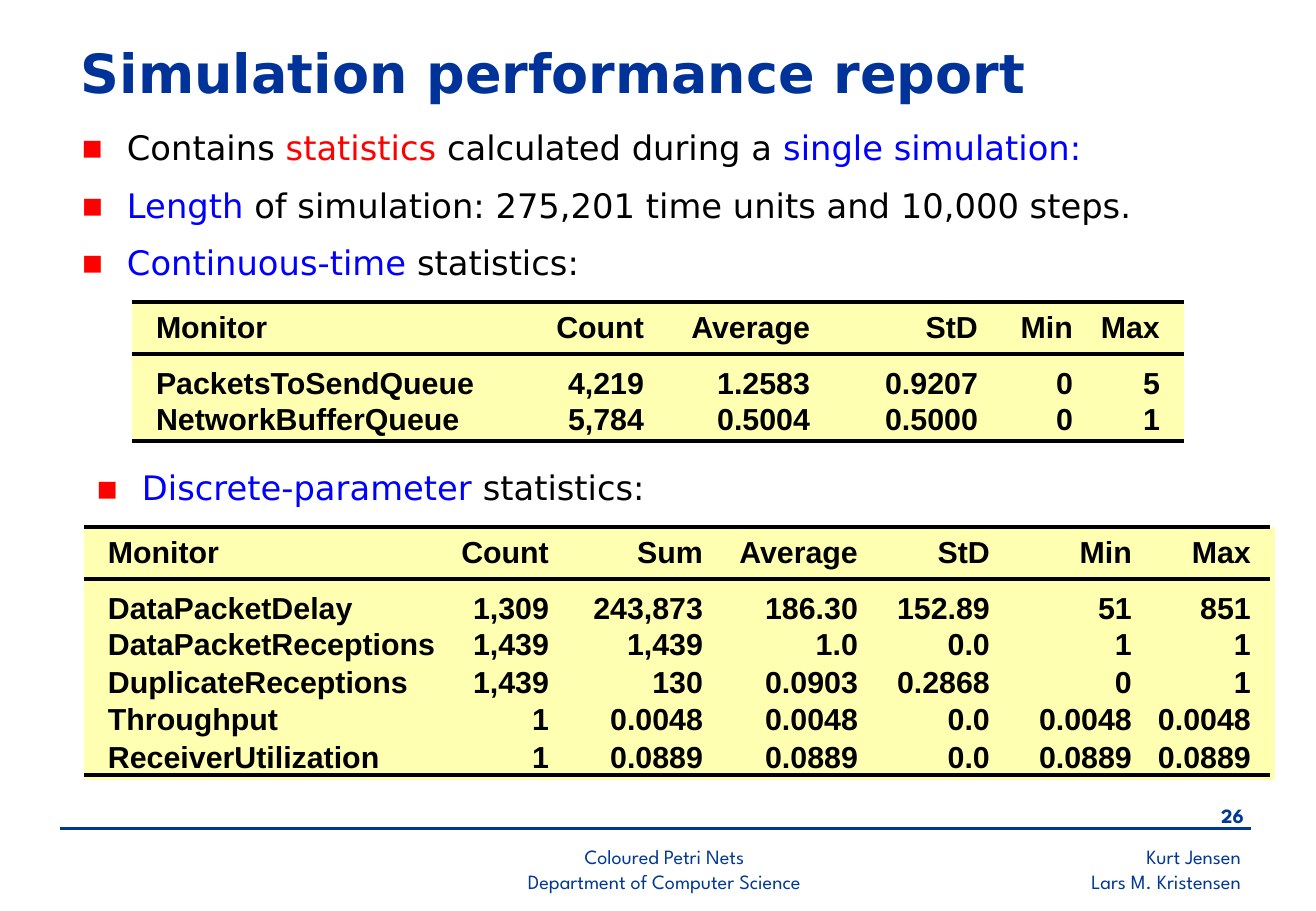
from lxml.etree import SubElement as Sub
from pptx import Presentation as Deck
from pptx.dml.color import RGBColor as RGB
from pptx.enum.shapes import MSO_CONNECTOR as Link
from pptx.enum.text import MSO_ANCHOR as Anchor, PP_ALIGN as Align
from pptx.oxml.ns import qn
from pptx.util import Emu, Inches, Pt

SCALE = 7532
NAVY, TITLE = RGB(0, 0x38, 0x93), RGB(0, 0x33, 0x99)
BLACK, RED, BLUE = RGB(0, 0, 0), RGB(255, 0, 0), RGB(0, 0, 255)
CREAM = RGB(255, 255, 0xB2)
PLAIN = "{2D5ABB26-0587-4C30-8999-92F81FD0307C}"

HEAD = dict(name="DejaVu Sans", size=Pt(32), bold=True)
BODY = dict(name="DejaVu Sans", size=Pt(20))
CELL = dict(name="Arial", size=Pt(18), bold=True)
FOOT = dict(name="League Spartan", size=Pt(12))

POINTS = [
    ((69, 120, 1032, 57), [("Contains ", BLACK), ("statistics", RED),
                           (" calculated during a ", BLACK),
                           ("single simulation:", BLUE)]),
    ((69, 178, 1138, 63), [("Length ", BLUE),
                           ("of simulation: 275,201 time units "
                            "and 10,000 steps.", BLACK)]),
    ((69, 235, 578, 63), [("Continuous-time", BLUE),
                          (" statistics:", BLACK)]),
    ((84, 460, 578, 63), [("Discrete-parameter", BLUE),
                          (" statistics:", BLACK)]),
]

TIMED = [
    ["Monitor", "Count", "Average", "StD", "Min", "Max"],
    ["PacketsToSendQueue", "4,219", "1.2583", "0.9207", "0", "5"],
    ["NetworkBufferQueue", "5,784", "0.5004", "0.5000", "0", "1"],
]
DISCRETE = [
    ["Monitor", "Count", "Sum", "Average", "StD", "Min", "Max"],
    ["DataPacketDelay", "1,309", "243,873", "186.30", "152.89", "51", "851"],
    ["DataPacketReceptions", "1,439", "1,439", "1.0", "0.0", "1", "1"],
    ["DuplicateReceptions", "1,439", "130", "0.0903", "0.2868", "0", "1"],
    ["Throughput", "1", "0.0048", "0.0048", "0.0", "0.0048", "0.0048"],
    ["ReceiverUtilization", "1", "0.0889", "0.0889", "0.0", "0.0889",
     "0.0889"],
]


def px(*nums):
    """Turn pixel lengths into EMU."""
    return [Emu(n * SCALE) for n in nums]


def style(item, form):
    """Set each attribute named in a dict."""
    for key, value in form.items():
        setattr(item, key, value)


def write(para, runs, form, align=Align.LEFT):
    """Fill a paragraph with coloured runs."""
    para.alignment = align
    for text, color in runs:
        run = para.add_run()
        run.text = text
        style(run.font, form)
        run.font.color.rgb = color


def text(slide, box, lines, form, align=Align.LEFT, anchor=Anchor.TOP, top=6):
    """Add a text box with one paragraph for each list of runs."""
    frame = slide.shapes.add_textbox(*px(*box)).text_frame
    left, head = px(12, top)
    style(frame, dict(word_wrap=True, vertical_anchor=anchor, margin_left=left,
                      margin_right=left, margin_top=head))
    for i, runs in enumerate(lines):
        para = frame.add_paragraph() if i else frame.paragraphs[0]
        write(para, runs, form, align)
    return frame


def rule(slide, left, right, y, color, width):
    """Draw a flat line across the slide."""
    line = slide.shapes.add_connector(Link.STRAIGHT, *px(left, y, right, y))
    line.line.color.rgb = color
    line.line.width = Pt(width)
    Sub(line._element.spPr, qn("a:effectLst"))


def bullet(slide, box, runs):
    """Add one point with a red square bullet."""
    frame = text(slide, box, [[]], BODY, top=7)
    para = frame.paragraphs[0]
    props = para._p.get_or_add_pPr()
    dent = 46 * SCALE
    props.set("marL", str(dent))
    props.set("indent", str(-dent))
    Sub(Sub(props, qn("a:buClr")), qn("a:srgbClr")).set("val", str(RED))
    Sub(props, qn("a:buFont")).set("typeface", BODY["name"])
    Sub(props, qn("a:buChar")).set("char", "▪")
    write(para, runs, BODY)


def report(slide, box, data, cols, span):
    """Add a table of statistics with rules around its header and foot."""
    left, top, width, height = box
    rows = [52, 48] + [36] * (len(data) - 3)
    rows.append(height - sum(rows))
    table = slide.shapes.add_table(len(data), len(cols), *px(*box)).table
    style(table, dict(first_row=False, horz_banding=False))
    table._tbl.tblPr.find(qn("a:tableStyleId")).text = PLAIN
    for col, size in zip(table.columns, px(*cols)):
        col.width = size
    pad, gap, thin = px(24, 0, 1)
    for r, (row, size) in enumerate(zip(table.rows, px(*rows))):
        row.height = size
        anchor = {0: Anchor.MIDDLE, 1: Anchor.BOTTOM}.get(r, Anchor.TOP)
        for c, cell in enumerate(row.cells):
            start, end = (gap, pad) if c else (pad, gap)
            style(cell, dict(margin_left=start, margin_right=end,
                             margin_top=thin if r > 1 else gap,
                             margin_bottom=thin if r == 1 else gap,
                             vertical_anchor=anchor))
            cell.fill.solid()
            cell.fill.fore_color.rgb = CREAM
            write(cell.text_frame.paragraphs[0], [(data[r][c], BLACK)], CELL,
                  Align.RIGHT if c else Align.LEFT)
    for y in (0, rows[0], height):
        rule(slide, left, left + span, top + y, BLACK, 2.25)


def footer(slide, box):
    """Add the foot line, page number, course and authors."""
    left, top, width, height = box
    right = left + width
    rule(slide, left, right, top, NAVY, 1.5)
    text(slide, (right - 81, top - 32, 86, 40), [[("26", NAVY)]],
         dict(FOOT, bold=True), Align.RIGHT, top=7)
    notes = [
        (354, 501, Align.CENTER,
         ["Coloured Petri Nets", "Department of Computer Science"]),
        (784, 409, Align.RIGHT, ["Kurt Jensen", "Lars M. Kristensen"]),
    ]
    for x, wide, align, lines in notes:
        text(slide, (left + x, top + 10, wide, height - 10),
             [[(line, NAVY)] for line in lines], FOOT, align)


def main():
    """Build and save the slide."""
    deck = Deck()
    deck.slide_width, deck.slide_height = Inches(10.84), Inches(7.5)
    slide = deck.slides.add_slide(deck.slide_layouts[6])
    text(slide, (69, 30, 1095, 84),
         [[("Simulation performance report", TITLE)]], HEAD,
         anchor=Anchor.MIDDLE)
    for box, runs in POINTS:
        bullet(slide, box, runs)
    report(slide, (132, 302, 1052, 139), TIMED,
           [380, 156, 166, 168, 95, 87], 1052)
    report(slide, (84, 527, 1191, 248), DISCRETE,
           [365, 124, 154, 155, 132, 142, 119], 1186)
    footer(slide, (60, 828, 1191, 70))
    deck.save("out.pptx")


if __name__ == "__main__":
    main()
